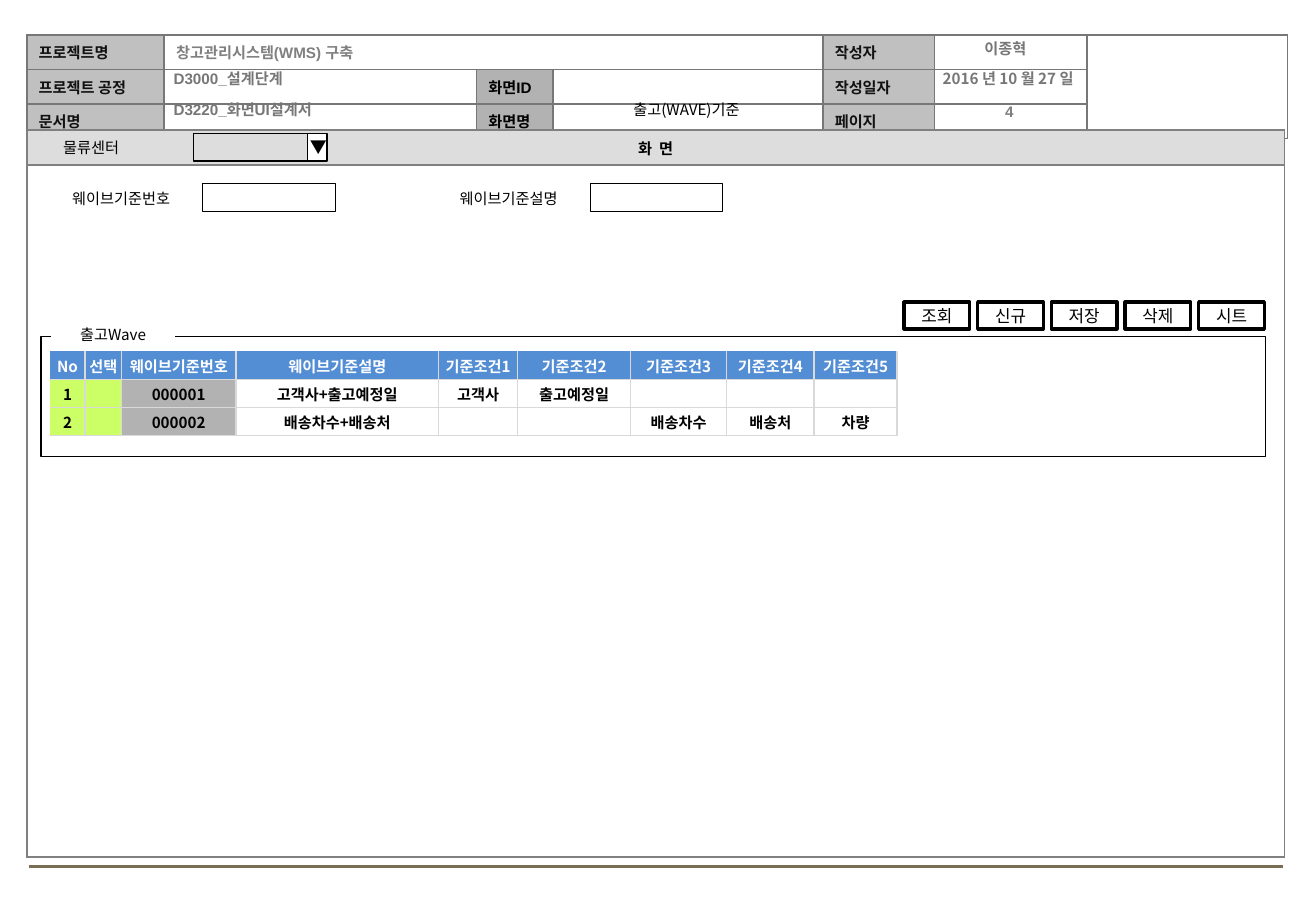
from dataclasses import dataclass
from typing import Optional

from lxml import etree
from pptx import Presentation
from pptx import util as u
from pptx.dml.color import RGBColor
from pptx.enum import shapes, text
from pptx.oxml.ns import qn

BLACK = RGBColor(0x00, 0x00, 0x00)
WHITE = RGBColor(0xFF, 0xFF, 0xFF)
INK = RGBColor(0x11, 0x11, 0x11)
DARK_GRAY = RGBColor(0x77, 0x77, 0x77)
PAGE_GRAY = RGBColor(0x7F, 0x7F, 0x7F)
MID_GRAY = RGBColor(0x80, 0x80, 0x80)
KEY_GRAY = RGBColor(0xB2, 0xB2, 0xB2)
LABEL_GRAY = RGBColor(0xC0, 0xC0, 0xC0)
GRID_GRAY = RGBColor(0xD9, 0xD9, 0xD9)
BAR_GRAY = RGBColor(0xDD, 0xDD, 0xDD)
BLUE = RGBColor(0x53, 0x8E, 0xD5)
LIME = RGBColor(0xCC, 0xFF, 0x66)
BROWN = RGBColor(0x7A, 0x6F, 0x54)

LATIN = "Arial"
KOREAN = "Noto Sans CJK KR"
LEFT, CENTER = text.PP_ALIGN.LEFT, text.PP_ALIGN.CENTER
FIELD_WIDTH, FIELD_HEIGHT, LABEL_HEIGHT = 2.77, 0.58, 0.64


@dataclass
class Style:
    name: str = KOREAN
    size: float = 9
    bold: bool = False
    align: text.PP_ALIGN = CENTER


@dataclass
class Cell:
    words: str = ""
    fill: Optional[RGBColor] = None
    color: RGBColor = BLACK


@dataclass
class Grid:
    left: float
    top: float
    widths: list[float]
    heights: list[float]
    rows: list[list[Cell]]
    border: RGBColor
    style: Style
    margins: tuple[float, float, float, float]
    merges: tuple = ()
    open_corner: bool = False


@dataclass
class Box:
    left: float
    top: float
    width: float
    height: float
    words: str = ""
    fill: Optional[RGBColor] = None
    line: float = 0
    style: Optional[Style] = None
    color: RGBColor = BLACK
    tight: bool = False


PLAIN = Style()
BUTTON = Style(size=10)
ARROW = Style(size=10, align=LEFT)
BOLD = Style(bold=True)
LATIN_BOLD = Style(LATIN, bold=True)
LATIN_LEFT = Style(LATIN, bold=True, align=LEFT)


def write(paragraph, words: str, style: Style, color: RGBColor) -> None:
    paragraph.alignment = style.align
    run = paragraph.add_run()
    run.text = words
    formats = {"name": style.name, "size": u.Pt(style.size), "bold": style.bold}
    for attribute, value in formats.items():
        setattr(run.font, attribute, value)
    run.font.color.rgb = color
    etree.SubElement(run.font._element, qn("a:ea"), typeface=KOREAN)


def set_borders(cell, sides: str, color: RGBColor) -> None:
    properties = cell._tc.get_or_add_tcPr()
    for index, side in enumerate("LRTB"):
        line = etree.Element(qn(f"a:ln{side}"), w=str(u.Pt(1)))
        if side in sides:
            fill = etree.SubElement(line, qn("a:solidFill"))
            etree.SubElement(fill, qn("a:srgbClr"), val=str(color))
        else:
            etree.SubElement(line, qn("a:noFill"))
        properties.insert(index, line)


def set_fill(fill, color: Optional[RGBColor]) -> None:
    if color is None:
        fill.background()
    else:
        fill.solid()
        fill.fore_color.rgb = color


def set_margins(target, margins: tuple[float, float, float, float]) -> None:
    for side, value in zip(("left", "top", "right", "bottom"), margins):
        setattr(target, f"margin_{side}", u.Cm(value))


def draw_grid(slide, grid: Grid) -> None:
    table = slide.shapes.add_table(
        len(grid.heights), len(grid.widths), u.Cm(grid.left), u.Cm(grid.top),
        u.Cm(sum(grid.widths)), u.Cm(sum(grid.heights))).table
    table.first_row = table.horz_banding = False
    for column, width in zip(table.columns, grid.widths):
        column.width = u.Cm(width)
    for row, height in zip(table.rows, grid.heights):
        row.height = u.Cm(height)
    for r, row_cells in enumerate(grid.rows):
        for c, content in enumerate(row_cells):
            cell = table.cell(r, c)
            cell.vertical_anchor = text.MSO_ANCHOR.MIDDLE
            set_margins(cell, grid.margins)
            set_fill(cell.fill, content.fill)
            hidden = ("L" if c == 0 else "") + ("T" if r == 0 else "")
            sides = [s for s in "LRTB" if not (grid.open_corner and s in hidden)]
            set_borders(cell, "".join(sides), grid.border)
            paragraph = cell.text_frame.paragraphs[0]
            if content.words:
                write(paragraph, content.words, grid.style, content.color)
            else:
                etree.SubElement(paragraph._p, qn("a:endParaRPr"), sz="900")
    for top, left, bottom, right in grid.merges:
        table.cell(top, left).merge(table.cell(bottom, right))


def draw_box(slide, box: Box) -> None:
    """Draw a rectangle, or a text box when there is neither fill nor line."""
    place = [u.Cm(v) for v in (box.left, box.top, box.width, box.height)]
    if box.fill is None and not box.line:
        shape = slide.shapes.add_textbox(*place)
    else:
        shape = slide.shapes.add_shape(shapes.MSO_SHAPE.RECTANGLE, *place)
        shape.shadow.inherit = False
        set_fill(shape.fill, box.fill)
        set_fill(shape.line.fill, BLACK if box.line else None)
        if box.line:
            shape.line.width = u.Pt(box.line)
    frame = shape.text_frame
    frame.word_wrap = not box.tight
    if box.tight:
        set_margins(frame, (0.05, 0.1, 0.05, 0.1))
    if box.words:
        write(frame.paragraphs[0], box.words, box.style or PLAIN, box.color)


def draw_footer_line(slide) -> None:
    line = slide.shapes.add_connector(shapes.MSO_CONNECTOR.STRAIGHT,
                                      u.Cm(0.61), u.Cm(18.12), u.Cm(26.82), u.Cm(18.12))
    line.line.color.rgb = BROWN
    line.line.width = u.Pt(1.75)
    etree.SubElement(line._element.spPr, qn("a:effectLst"))


def label(words: str) -> Cell:
    return Cell(words, LABEL_GRAY, INK)


def key(words: str) -> Cell:
    return Cell(words, KEY_GRAY)


def wave_row(number: str, code: str, *values: str) -> list[Cell]:
    return [Cell(number, LIME), Cell(fill=LIME), key(code), *map(Cell, values)]


HEADER = Grid(0.56, 0.73, [2.87, 6.53, 1.6, 5.64, 2.34, 3.18, 4.19], [0.72] * 3, [
    [label("프로젝트명"), Cell("창고관리시스템(WMS) 구축", None, MID_GRAY), Cell(), Cell(),
     label("작성자"), Cell(), Cell()],
    [label("프로젝트 공정"), Cell(), key("화면ID"), Cell(), label("작성일자"), Cell(), Cell()],
    [label("문서명"), Cell(), key("화면명"), Cell(), label("페이지"), Cell(), Cell()],
], DARK_GRAY, LATIN_LEFT, (0.25, 0.13, 0.25, 0.13), ((0, 1, 0, 3), (0, 6, 2, 6)))
SCREEN = Grid(0.56, 2.72, [26.29], [0.73, 14.47], [[Cell("화  면", BAR_GRAY)], [Cell()]],
              MID_GRAY, LATIN_BOLD, (0.05, 0, 0.05, 0))
WAVE_TITLES = ["No", "선택", "웨이브기준번호", "웨이브기준설명"] + [f"기준조건{n}" for n in range(1, 6)]
WAVES = Grid(1.04, 7.34, [0.74, 0.76, 2.39, 4.24, 1.65, 2.36, 2.01, 1.83, 1.73], [0.59] * 3, [
    [Cell(title, BLUE, WHITE) for title in WAVE_TITLES],
    wave_row("1", "000001", "고객사+출고예정일", "고객사", "출고예정일", "", "", ""),
    wave_row("2", "000002", "배송차수+배송처", "", "", "배송차수", "배송처", "차량"),
], GRID_GRAY, BOLD, (0.03, 0.03, 0.03, 0), open_corner=True)

BOXES = [
    Box(3.38, 1.32, 13.77, LABEL_HEIGHT, "D3000_설계단계", style=LATIN_LEFT, color=DARK_GRAY),
    Box(3.38, 1.98, 13.77, LABEL_HEIGHT, "D3220_화면UI설계서", style=LATIN_LEFT, color=DARK_GRAY),
    Box(19.51, 2.01, 3.18, LABEL_HEIGHT, "4", style=LATIN_BOLD, color=PAGE_GRAY),
    Box(11.58, 1.98, 5.54, LABEL_HEIGHT, "출고(WAVE)기준"),
    Box(19.08, 1.32, 3.99, LABEL_HEIGHT, "2016 년 10 월 27 일", style=BOLD, color=DARK_GRAY),
    Box(19.02, 0.69, 3.99, LABEL_HEIGHT, "이종혁", style=BOLD, color=DARK_GRAY),
    Box(0.86, 7.04, 25.6, 2.51, line=0.75),
    Box(1.07, 6.68, 2.59, LABEL_HEIGHT, "출고Wave", WHITE),
    Box(1.07, 2.77, 2.97, LABEL_HEIGHT, "물류센터", style=Style(align=LEFT)),
    Box(4.04, 2.79, FIELD_WIDTH, FIELD_HEIGHT, line=0.75),
    Box(6.43, 2.79, 0.41, FIELD_HEIGHT, "▼", WHITE, 0.75, ARROW, tight=True),
]
for index, words in enumerate(["조회", "신규", "저장", "삭제", "시트"]):
    BOXES.append(Box(18.9 + 1.54 * index, 6.32, 1.37, 0.56, words, WHITE, 2, BUTTON, tight=True))
for index, words in enumerate(["웨이브기준번호", "웨이브기준설명"]):
    BOXES.append(Box(0.97 + 8.1 * index, 3.84, 3.12, LABEL_HEIGHT, words))
    BOXES.append(Box(4.24 + 8.1 * index, 3.84, FIELD_WIDTH, FIELD_HEIGHT, "", WHITE, 0.75))


def main() -> None:
    presentation = Presentation()
    presentation.slide_width, presentation.slide_height = u.Cm(27.51), u.Cm(19.05)
    slide = presentation.slides.add_slide(presentation.slide_layouts[6])
    draw_footer_line(slide)
    for grid in (HEADER, SCREEN, WAVES):
        draw_grid(slide, grid)
    for box in BOXES:
        draw_box(slide, box)
    presentation.save("out.pptx")


if __name__ == "__main__":
    main()
